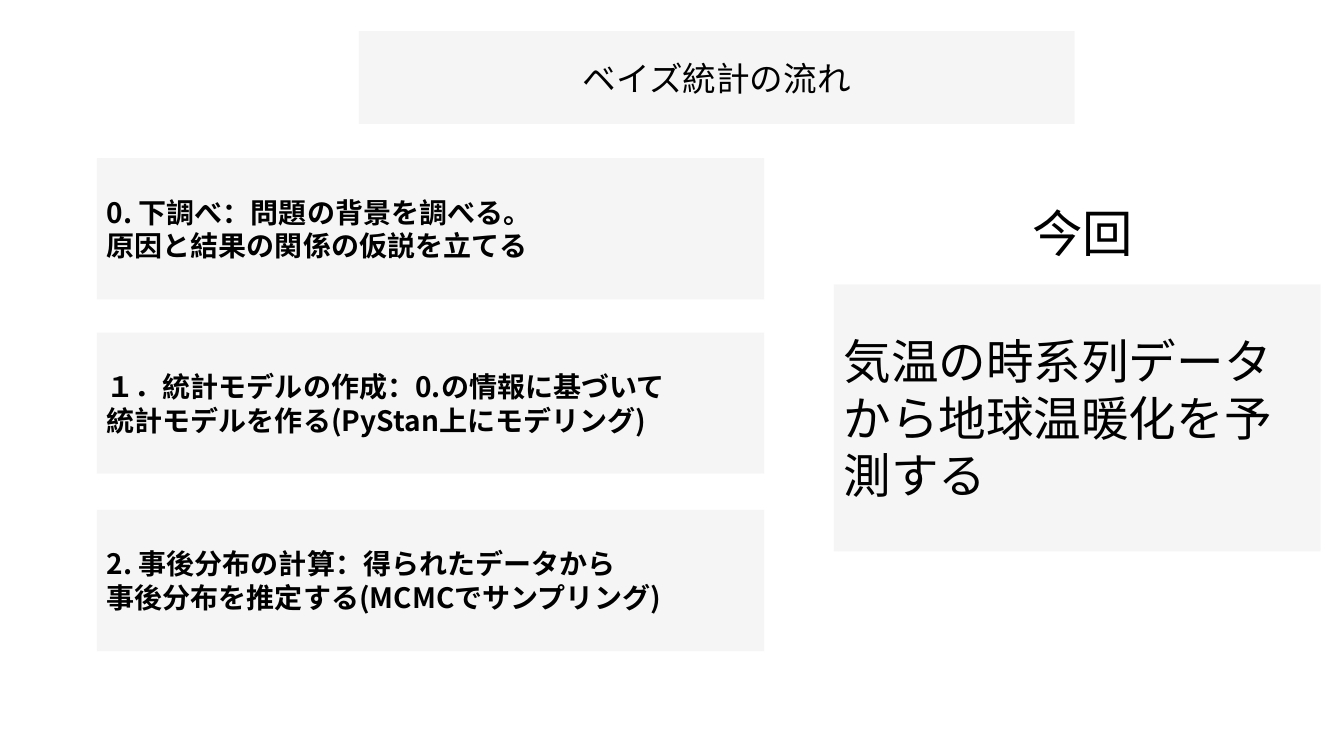
from lxml import etree
from pptx import Presentation
from pptx import util as u
from pptx.dml.color import RGBColor
from pptx.enum import shapes, text
from pptx.oxml import ns

FONT = "Noto Sans CJK JP"
COLORS = {"panel": "EDEDED", "text": "000000"}


def fill_panel(panel):
    """Half-transparent grey fill without an outline."""
    panel.fill.solid()
    panel.fill.fore_color.rgb = RGBColor.from_string(COLORS["panel"])
    grey = panel.fill._xPr.find(ns.qn("a:solidFill"))[0]
    etree.SubElement(grey, ns.qn("a:alpha"), val="50000")
    panel.line.fill.background()


def write_lines(frame, lines, size, bold=False, align=text.PP_ALIGN.LEFT, **frame_format):
    layout = {"word_wrap": True, "auto_size": text.MSO_AUTO_SIZE.NONE,
              "vertical_anchor": text.MSO_ANCHOR.MIDDLE} | frame_format
    for name, value in layout.items():
        setattr(frame, name, value)
    for index, line in enumerate(lines):
        paragraph = frame.paragraphs[0] if index == 0 else frame.add_paragraph()
        paragraph.alignment = align
        run = paragraph.add_run()
        run.text = line
        for name, value in {"name": FONT, "size": u.Pt(size), "bold": bold}.items():
            setattr(run.font, name, value)
        run.font.color.rgb = RGBColor.from_string(COLORS["text"])
        etree.SubElement(run.font._element, ns.qn("a:ea"), typeface=FONT)


deck = Presentation()
deck.slide_width, deck.slide_height = u.Inches(13.33), u.Inches(7.5)
slide = deck.slides.add_slide(deck.slide_layouts[5])

# Title
title = slide.shapes.title
title_place = {"left": 3.56, "top": 0.31, "width": 7.1, "height": 0.92}
for name, value in title_place.items():
    setattr(title, name, u.Inches(value))
fill_panel(title)
write_lines(title.text_frame, ["ベイズ統計の流れ"], 24, align=text.PP_ALIGN.CENTER)

# Steps on the left and this session's goal on the right
step_place = {"left": 0.96, "width": 6.62, "height": 1.4}
step_format = {"size": 20, "bold": True}
panels = [
    (step_place | {"top": 1.57}, step_format,
     ["0. 下調べ：問題の背景を調べる。", "原因と結果の関係の仮説を立てる"]),
    (step_place | {"top": 3.3}, step_format,
     ["１．統計モデルの作成：0.の情報に基づいて", "統計モデルを作る(PyStan上にモデリング)"]),
    (step_place | {"top": 5.06}, step_format,
     ["2. 事後分布の計算：得られたデータから", "事後分布を推定する(MCMCでサンプリング)"]),
    ({"left": 8.27, "top": 2.82, "width": 4.83, "height": 2.65}, {"size": 34},
     ["気温の時系列データから地球温暖化を予測する"]),
]
for place, panel_format, lines in panels:
    box = [u.Inches(place[side]) for side in ("left", "top", "width", "height")]
    panel = slide.shapes.add_shape(shapes.MSO_SHAPE.RECTANGLE, *box)
    panel.shadow.inherit = False
    fill_panel(panel)
    write_lines(panel.text_frame, lines, **panel_format)

# Heading above the goal
goal_heading = slide.shapes.add_textbox(
    u.Inches(10.14), u.Inches(1.96), u.Inches(1.21), u.Inches(0.71))
write_lines(goal_heading.text_frame, ["今回"], 36, word_wrap=False,
            auto_size=text.MSO_AUTO_SIZE.SHAPE_TO_FIT_TEXT,
            vertical_anchor=text.MSO_ANCHOR.TOP)

deck.save("out.pptx")
